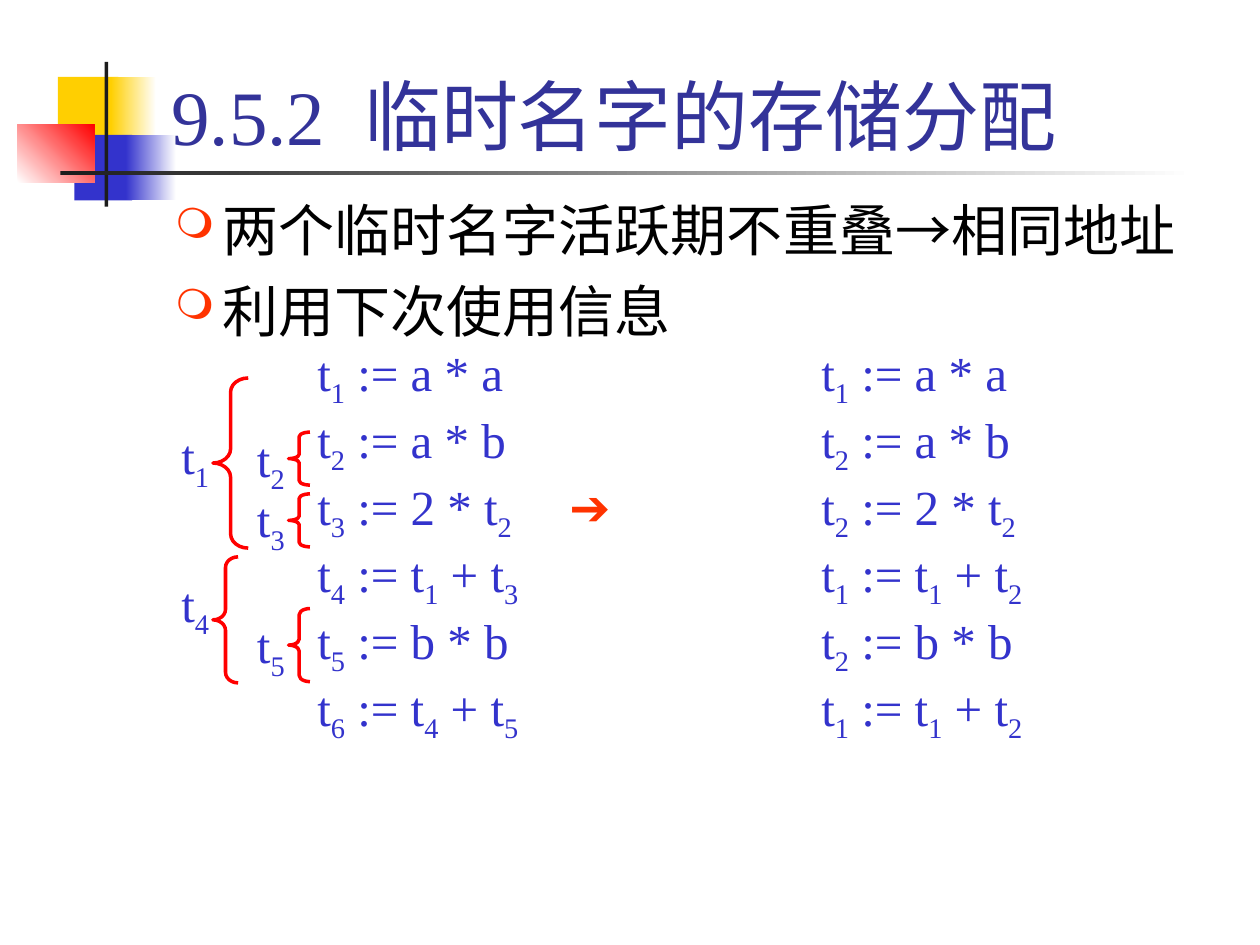
from dataclasses import dataclass
from typing import Optional

from lxml.etree import SubElement
from pptx import Presentation
from pptx.dml.color import RGBColor
from pptx.enum.shapes import MSO_SHAPE as Shape
from pptx.enum.text import MSO_ANCHOR as Anchor, MSO_AUTO_SIZE as AutoSize, PP_ALIGN as Align
from pptx.oxml.ns import qn
from pptx.util import Inches, Pt

SERIF, SANS = "Times New Roman", "Arial"
NAVY, BLUE, ORANGE, RED, BLACK = "333399", "3333CC", "FF3300", "FF0000", "000000"
YELLOW, INK, WHITE = "FFCF01", "1C1C1C", "FFFFFF"
ARROW = "➔"


@dataclass
class Block:
    left: float
    top: float
    width: float
    height: float
    start: str
    end: Optional[str] = None
    angle: float = 0


@dataclass
class Lifetime:
    name: str
    label_left: float
    label_top: float
    brace_left: float
    brace_top: float
    brace_width: float
    brace_height: float


BLOCKS = [
    Block(0.46, 0.61, 0.48, 0.52, YELLOW),
    Block(0.88, 0.61, 0.36, 0.52, YELLOW, WHITE),
    Block(0.59, 1.07, 0.46, 0.52, BLUE),
    Block(1, 1.07, 0.4, 0.52, BLUE, WHITE),
    Block(0.14, 0.99, 0.61, 0.46, WHITE, RED, 45),
    Block(0.83, 0.49, 0.03, 1.15, INK),
    Block(0.48, 1.36, 9, 0.03, INK, WHITE),
]
POINTS = [
    [("两个临时名字活跃期不重叠", SERIF), ("→", SANS), ("相同地址", SERIF)],
    [("利用下次使用信息", SERIF)],
]
BEFORE = ["t_1 := a * a", "t_2 := a * b", f"t_3 := 2 * t_2\t{ARROW}",
          "t_4 := t_1 + t_3", "t_5 := b * b", "t_6 := t_4 + t_5"]
AFTER = ["t_1 := a * a", "t_2 := a * b", "t_2 := 2 * t_2",
         "t_1 := t_1 + t_2", "t_2 := b * b", "t_1 := t_1 + t_2"]
OUTER_LABEL, OUTER_BRACE = 1.3, 1.69
INNER_LABEL, INNER_BRACE = 1.9, 2.29
LIFETIMES = [
    Lifetime("t_5", INNER_LABEL, 4.83, INNER_BRACE, 4.83, 0.17, 0.58),
    Lifetime("t_4", OUTER_LABEL, 4.5, OUTER_BRACE, 4.42, 0.2, 1),
    Lifetime("t_3", INNER_LABEL, 3.83, INNER_BRACE, 3.92, 0.17, 0.42),
    Lifetime("t_1", OUTER_LABEL, 3.33, OUTER_BRACE, 3, 0.28, 1.35),
    Lifetime("t_2", INNER_LABEL, 3.35, INNER_BRACE, 3.43, 0.17, 0.42),
]


def color(hex_code: str) -> RGBColor:
    """Turn a hex string into a colour."""
    return RGBColor.from_string(hex_code)


def box(left: float, top: float, width: float, height: float) -> list:
    """Convert a frame in inches to lengths."""
    return [Inches(value) for value in (left, top, width, height)]


def add_run(paragraph, text: str, size: float, hex_code: str, font: str = SERIF):
    """Append one formatted run."""
    run = paragraph.add_run()
    run.text = text
    run.font.size, run.font.name = Pt(size), font
    run.font.color.rgb = color(hex_code)
    return run


def add_block(slide, block: Block) -> None:
    """Draw one solid or fading decoration."""
    patch = slide.shapes.add_shape(
        Shape.RECTANGLE, *box(block.left, block.top, block.width, block.height))
    patch.shadow.inherit = False
    patch.line.fill.background()
    if block.end is None:
        patch.fill.solid()
        patch.fill.fore_color.rgb = color(block.start)
        return
    patch.fill.gradient()
    patch.fill.gradient_angle = block.angle
    for stop, shade in zip(patch.fill.gradient_stops, (block.start, block.end)):
        stop.color.rgb = color(shade)


def set_title(slide, text: str) -> None:
    """Place and format the title above the decoration."""
    title = slide.shapes.title
    title.left, title.top, title.width, title.height = box(1.26, 0.08, 8.52, 1.25)
    frame = title.text_frame
    frame.vertical_anchor = Anchor.BOTTOM
    frame.auto_size = AutoSize.NONE
    frame.paragraphs[0].alignment = Align.LEFT
    add_run(frame.paragraphs[0], text, 44, NAVY)
    title.element.getparent().append(title.element)


def add_points(slide) -> None:
    """Write the bulleted statements."""
    frame = slide.shapes.add_textbox(*box(1.29, 1.5, 8.5, 1.5)).text_frame
    frame.word_wrap = True
    for index, point in enumerate(POINTS):
        paragraph = frame.add_paragraph() if index else frame.paragraphs[0]
        paragraph.space_before = Pt(8)
        for text, font in point:
            add_run(paragraph, text, 32, BLACK, font)
        properties = paragraph._p.get_or_add_pPr()
        properties.set("marL", str(Inches(0.38)))
        properties.set("indent", str(-Inches(0.38)))
        bullet_color = SubElement(properties, qn("a:buClr"))
        SubElement(bullet_color, qn("a:srgbClr"), val=ORANGE)
        SubElement(properties, qn("a:buSzPct"), val="75000")
        SubElement(properties, qn("a:buChar"), char="❍")


def write_code(paragraph, line: str) -> None:
    """Write a line in which the digit after an underscore is a subscript."""
    head, *pieces = line.split("_")
    add_run(paragraph, head, 28, BLUE)
    for piece in pieces:
        subscript = add_run(paragraph, piece[0], 28, BLUE)
        subscript.font._element.set("baseline", "-25000")
        rest = piece[1:]
        if ARROW in rest:
            add_run(paragraph, rest, 28, ORANGE, SANS)
        elif rest:
            add_run(paragraph, rest, 28, BLUE)


def add_code_box(slide, frame_box: list, lines: list[str], space: float):
    """Add a growing text box of code lines and return its paragraph."""
    frame = slide.shapes.add_textbox(*frame_box).text_frame
    frame.word_wrap = True
    frame.auto_size = AutoSize.SHAPE_TO_FIT_TEXT
    paragraph = frame.paragraphs[0]
    paragraph.space_before = Pt(space)
    for index, line in enumerate(lines):
        if index:
            paragraph.add_line_break()
        write_code(paragraph, line)
    return paragraph


def add_listing(slide, left: float, width: float, lines: list[str]) -> None:
    """Add one indented sequence of statements."""
    paragraph = add_code_box(slide, box(left, 2.67, width, 4.06), lines, 7)
    properties = paragraph._p.get_or_add_pPr()
    properties.set("marL", str(Inches(0.5)))
    properties.set("indent", "0")
    tabs = SubElement(properties, qn("a:tabLst"))
    SubElement(tabs, qn("a:tab"), pos=str(Inches(2)), algn="l")


def add_lifetime(slide, span: Lifetime) -> None:
    """Draw the brace and label of one live range."""
    brace = slide.shapes.add_shape(Shape.LEFT_BRACE, *box(
        span.brace_left, span.brace_top, span.brace_width, span.brace_height))
    brace.shadow.inherit = False
    brace.fill.background()
    brace.line.color.rgb = color(RED)
    brace.line.width = Pt(2)
    brace.adjustments[0] = span.brace_height / 12 / span.brace_width
    label = add_code_box(
        slide, box(span.label_left, span.label_top, 0.5, 0.63), [span.name], 17.5)
    label.alignment = Align.CENTER


def main() -> None:
    """Build and save the slide."""
    deck = Presentation()
    deck.slide_width, deck.slide_height = Inches(10), Inches(7.5)
    slide = deck.slides.add_slide(deck.slide_layouts[5])
    for block in BLOCKS:
        add_block(slide, block)
    set_title(slide, "9.5.2  临时名字的存储分配")
    add_points(slide)
    add_listing(slide, 1.92, 3.67, BEFORE)
    add_listing(slide, 5.92, 2.67, AFTER)
    for span in LIFETIMES:
        add_lifetime(slide, span)
    deck.save("out.pptx")


if __name__ == "__main__":
    main()
